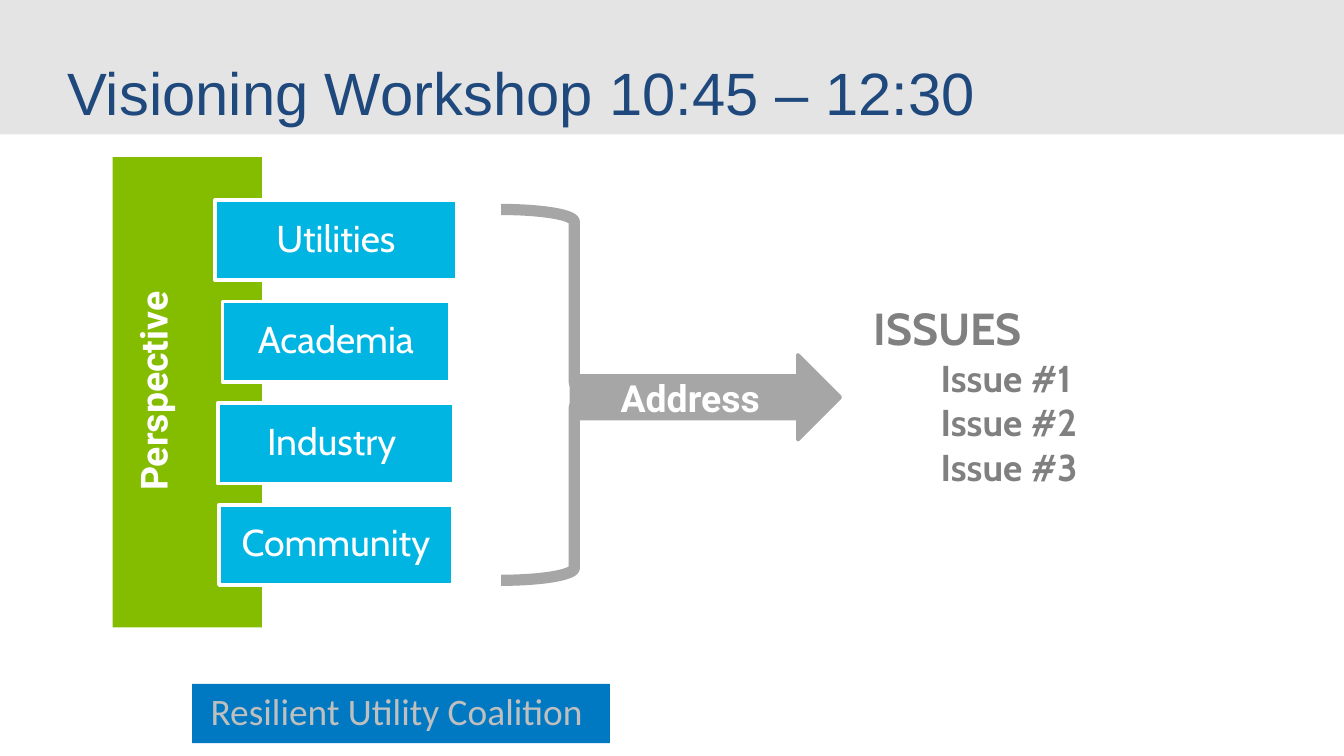
from pptx import Presentation, util as u
from pptx.dml.color import RGBColor
from pptx.enum import shapes, text

COLORS = {
    "band": "E4E4E4", "navy": "1F497D", "green": "84BD00", "cyan": "00B5E2",
    "blue": "0079C2", "silver": "BFBFBF", "arrow": "A6A6A6", "gray": "808080",
    "white": "FFFFFF",
}
TITLE = "Visioning Workshop 10:45 – 12:30"
FOOTER = "Resilient Utility Coalition"
PERSPECTIVES = [("Utilities", 4.57), ("Academia", 4.29), ("Industry ", 4.47), ("Community", 4.42)]
ISSUES = ["ISSUES", "Issue #1", "Issue #2", "Issue #3"]

BOX_CENTER, BOX_TOP, BOX_PITCH, BOX_HEIGHT = 6.35, 3.78, 1.92, 1.52
LEFT, CENTER = text.PP_ALIGN.LEFT, text.PP_ALIGN.CENTER
TOP, MIDDLE, BOTTOM = text.MSO_ANCHOR.TOP, text.MSO_ANCHOR.MIDDLE, text.MSO_ANCHOR.BOTTOM
KIND = shapes.MSO_SHAPE


def rgb(name):
    return RGBColor.from_string(COLORS[name])


def add_shape(slide, kind, place, fill, line=None, width=0):
    shape = slide.shapes.add_shape(kind, *map(u.Cm, place))
    shape.shadow.inherit = False
    shape.fill.solid()
    shape.fill.fore_color.rgb = rgb(fill)
    if line:
        shape.line.color.rgb = rgb(line)
        shape.line.width = u.Pt(width)
    else:
        shape.line.fill.background()
    return shape


def add_textbox(slide, place):
    return slide.shapes.add_textbox(*map(u.Cm, place))


def style(paragraph, font, size, color, bold=False, align=LEFT):
    paragraph.alignment = align
    paragraph.font.name = font
    paragraph.font.size = u.Pt(size)
    paragraph.font.color.rgb = rgb(color)
    paragraph.font.bold = bold


def set_text(shape, lines, font, size, color, bold=False, align=LEFT,
             anchor=TOP, inset=(0.25, 0.13)):
    frame = shape.text_frame
    frame.word_wrap = True
    frame.vertical_anchor = anchor
    frame.margin_left = frame.margin_right = u.Cm(inset[0])
    frame.margin_top = frame.margin_bottom = u.Cm(inset[1])
    frame.text = "\n".join(lines)
    for paragraph in frame.paragraphs:
        style(paragraph, font, size, color, bold, align)
    return frame


def build():
    presentation = Presentation()
    presentation.slide_width, presentation.slide_height = u.Cm(25.4), u.Cm(14.29)
    slide = presentation.slides.add_slide(presentation.slide_layouts[6])

    add_shape(slide, KIND.RECTANGLE, (3.63, 12.93, 7.9, 1.12), "blue")
    add_shape(slide, KIND.RECTANGLE, (2.13, 2.97, 2.82, 8.89), "green")
    title = add_shape(slide, KIND.RECTANGLE, (0, 0, 25.4, 2.54), "band")
    set_text(title, [TITLE], "Arial", 32, "navy", anchor=BOTTOM, inset=(1.27, 0.13))
    footer = add_textbox(slide, (3.73, 12.93, 7.57, 1.02))
    set_text(footer, [FOOTER], "Calibri", 20, "silver", anchor=MIDDLE)

    issues = add_textbox(slide, (16.26, 5.56, 12.7, 3.84))
    frame = set_text(issues, ISSUES, "Cabin", 20, "gray", bold=True)
    frame.paragraphs[0].font.size = u.Pt(24)
    for paragraph in frame.paragraphs[1:]:
        paragraph.level = 1
        properties = paragraph._p.get_or_add_pPr()
        properties.set("marL", str(u.Cm(1.27)))
        properties.set("indent", "0")

    for row, (label, width) in enumerate(PERSPECTIVES):
        place = (BOX_CENTER - width / 2, BOX_TOP + row * BOX_PITCH, width, BOX_HEIGHT)
        box = add_shape(slide, KIND.RECTANGLE, place, "cyan", "white", 2)
        frame = set_text(box, [label], "Cabin", 20, "white", align=CENTER,
                         anchor=MIDDLE, inset=(0.15, 0.15))
        frame.paragraphs[0].line_spacing = 0.9

    perspective = add_textbox(slide, (0.84, 6.76, 4.52, 1.27))
    perspective.rotation = 270
    set_text(perspective, ["Perspective"], "Roboto", 20, "white", True, CENTER, inset=(0, 0))

    add_shape(slide, KIND.RIGHT_BRACE, (9.47, 3.96, 2.77, 7.01), "white", "arrow", 6)
    add_shape(slide, KIND.RIGHT_ARROW, (10.8, 6.71, 5.08, 1.6), "arrow", "arrow", 2)
    address = add_textbox(slide, (11.1, 7.09, 3.89, 0.84))
    set_text(address, ["Address"], "Roboto", 20, "white", True, CENTER, inset=(0, 0))

    presentation.save("out.pptx")


if __name__ == "__main__":
    build()
